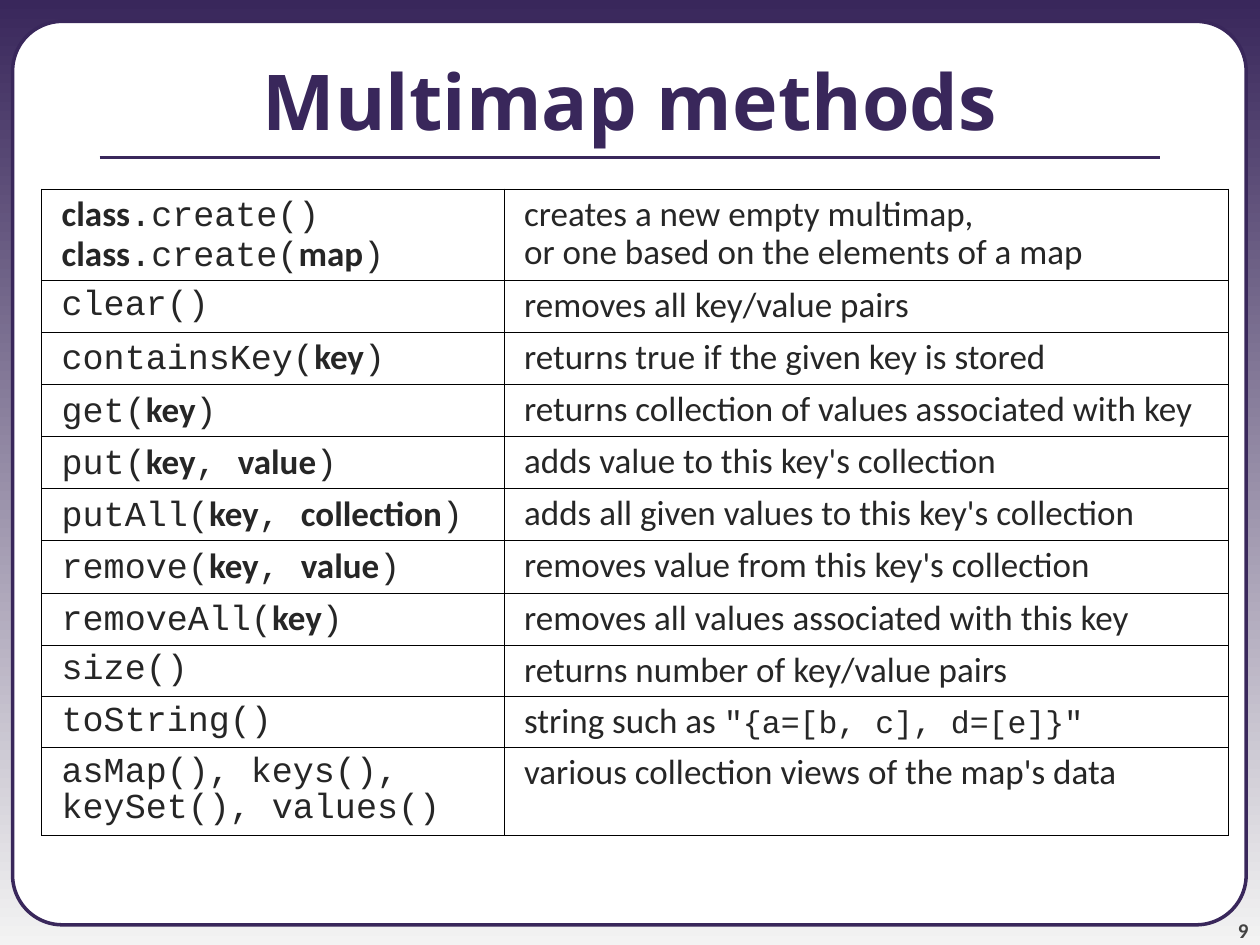
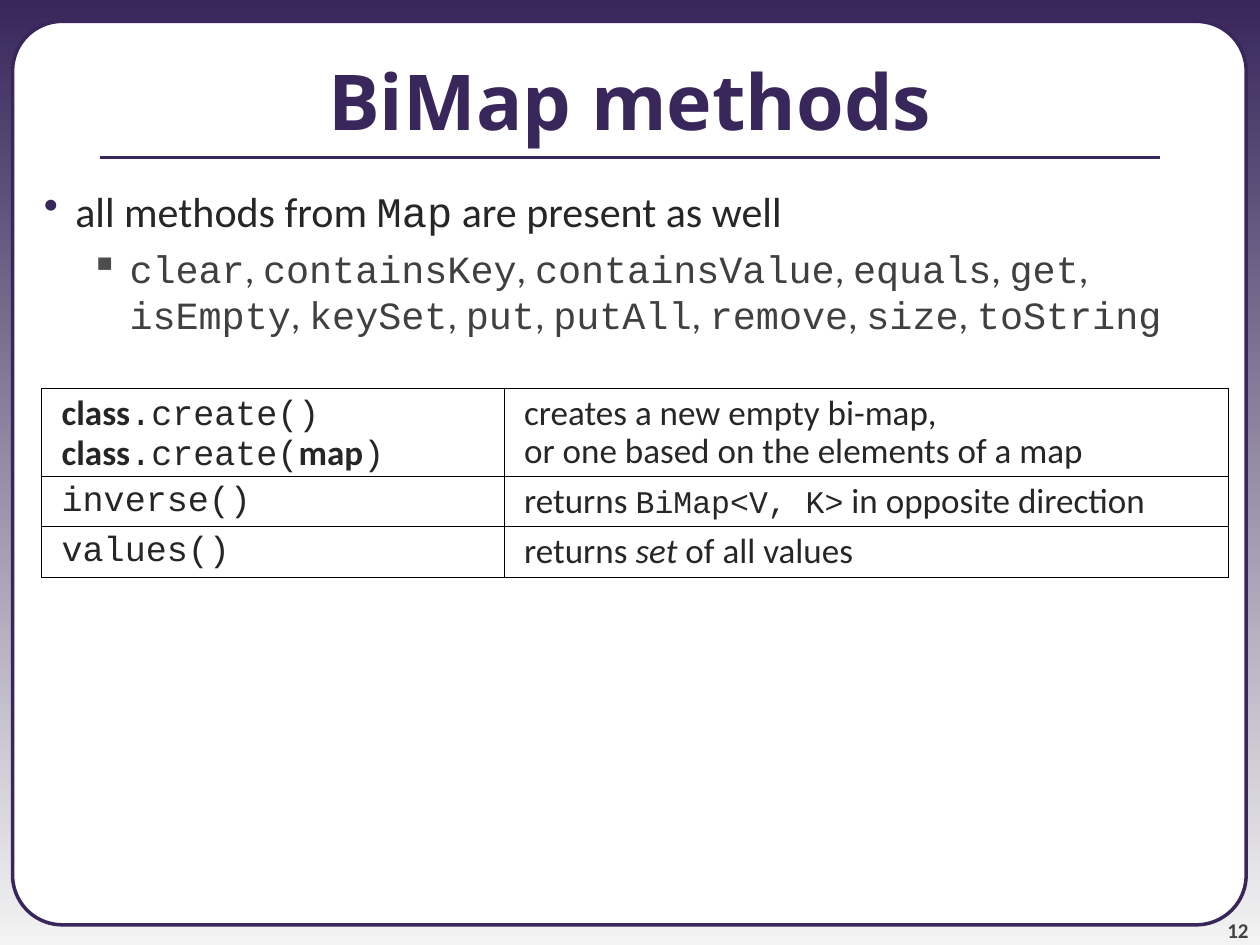
"""Build the Multimap and BiMap method reference slides."""
from dataclasses import dataclass

from lxml.etree import SubElement
from pptx import Presentation
from pptx.dml.color import RGBColor as RGB
from pptx.enum.shapes import MSO_CONNECTOR as CONNECTOR, MSO_SHAPE as SHAPE
from pptx.enum.text import MSO_ANCHOR as ANCHOR, MSO_AUTO_SIZE as AUTO_SIZE, PP_ALIGN as ALIGN
from pptx.oxml.ns import qn
from pptx.util import Inches, Pt


@dataclass(frozen=True)
class Theme:
    """Colours, fonts and type sizes of the deck."""
    purple: str = "39275B"
    mist: str = "F3F3F3"
    white: str = "FFFFFF"
    black: str = "000000"
    ink: str = "262626"
    sub_ink: str = "404040"
    sub_bullet: str = "4D4D4D"
    number_ink: str = "424242"
    heading_font: str = "Noto Sans"
    text_font: str = "Calibri"
    code_font: str = "Courier New"
    title_size: int = 44
    point_size: int = 24
    subpoint_size: int = 22
    cell_size: int = 20
    cell_code_size: int = 18
    number_size: int = 12


THEME = Theme()
CODE, BOLD, ITALIC = "`", "*", "_"

MAP_METHODS = ["clear", "containsKey", "containsValue", "equals", "get", "isEmpty",
               "keySet", "put", "putAll", "remove", "size", "toString"]
CREATE = "*class|`.create()\n|*class|`.create(|*map|`)"

SLIDES = [
    {
        "title": "Multimap methods",
        "number": "9",
        "table_top": 1.5,
        "methods": [
            (CREATE, "creates a new empty multimap,\nor one based on the elements of a map"),
            ("`clear()", "removes all key/value pairs"),
            ("`containsKey(|*key|`)", "returns true if the given key is stored"),
            ("`get(|*key|`)", "returns collection of values associated with key"),
            ("`put(|*key|`, |*value|`)", "adds value to this key's collection"),
            ("`putAll(|*key|`, |*collection|`)", "adds all given values to this key's collection"),
            ("`remove(|*key|`, |*value|`)", "removes value from this key's collection"),
            ("`removeAll(|*key|`)", "removes all values associated with this key"),
            ("`size()", "returns number of key/value pairs"),
            ("`toString()", 'string such as |`"{a=[b, c], d=[e]}"'),
            ("`asMap(), keys(), keySet(), values()", "various collection views of the map's data"),
        ],
    },
    {
        "title": "BiMap methods",
        "number": "12",
        "point": "all methods from |`Map| are present as well",
        "subpoint": "|, |".join(CODE + method for method in MAP_METHODS),
        "table_top": 3.08,
        "methods": [
            (CREATE, "creates a new empty bi-map,\nor one based on the elements of a map"),
            ("`inverse()", "returns |`BiMap<V, K>| in opposite direction"),
            ("`values()", "returns |_set| of all values"),
        ],
    },
]

TABLE_LEFT = 0.33
COLUMN_WIDTHS = (3.67, 5.75)
ROW_HEIGHT, TALL_ROW_HEIGHT = 0.4, 0.7
TALL_TEXT_LENGTH = 30


def write(paragraph, text, size, color, font=THEME.text_font, bold=False, code_size=None,
          align=None, spacing=None, before=None, indent=None, hanging=0,
          bullet=None, bullet_color=None):
    """Write text whose |-separated parts may start with a code, bold or italic mark."""
    properties = paragraph._p.get_or_add_pPr()
    if indent is not None:
        properties.set("marL", str(Inches(indent)))
        properties.set("indent", str(-Inches(hanging)))
    if align is not None:
        paragraph.alignment = align
    if spacing is not None:
        paragraph.line_spacing = spacing
    if before is not None:
        paragraph.space_before = Pt(before)
    if bullet:
        tint = SubElement(properties, qn("a:buClr"))
        SubElement(tint, qn("a:srgbClr"), val=bullet_color)
        SubElement(properties, qn("a:buChar"), char=bullet)
    for part in text.split("|"):
        mark = part[0] if part[0] in (CODE, BOLD, ITALIC) else ""
        is_code = mark == CODE
        for index, line in enumerate(part[len(mark):].split("\n")):
            if index:
                paragraph.add_line_break()
            if not line:
                continue
            run = paragraph.add_run()
            run.text = line
            run.font.name = THEME.code_font if is_code else font
            run.font.size = Pt(code_size if is_code and code_size else size)
            run.font.bold = bold or mark == BOLD
            run.font.italic = mark == ITALIC
            run.font.color.rgb = RGB.from_string(color)


def set_box(shape, left, top, width, height):
    """Place a shape by lengths in inches."""
    shape.left, shape.top = Inches(left), Inches(top)
    shape.width, shape.height = Inches(width), Inches(height)


def add_text_frame(slide, left, top, width, height):
    """Add a wrapping text box and return its frame."""
    box = slide.shapes.add_textbox(Inches(left), Inches(top), Inches(width), Inches(height))
    box.text_frame.word_wrap = True
    return box.text_frame


def add_frame(slide, number):
    """Draw the gradient, panel, page number and title rule."""
    background = slide.background.fill
    background.gradient()
    background.gradient_angle = 270
    for stop, color, position in zip(background.gradient_stops, (THEME.purple, THEME.mist), (0, 1)):
        stop.color.rgb = RGB.from_string(color)
        stop.position = position

    panel = slide.shapes.add_shape(SHAPE.ROUNDED_RECTANGLE, 0, 0, 0, 0)
    set_box(panel, 0.1, 0.17, 9.79, 7.17)
    panel.adjustments[0] = 0.055
    panel.shadow.inherit = False
    panel.fill.solid()
    panel.fill.fore_color.rgb = RGB.from_string(THEME.white)
    panel.line.color.rgb = RGB.from_string(THEME.purple)
    panel.line.width = Pt(2)

    page = add_text_frame(slide, 9.08, 7.08, 0.83, 0.4)
    page.margin_left = page.margin_right = page.margin_top = page.margin_bottom = 0
    page.vertical_anchor = ANCHOR.BOTTOM
    write(page.paragraphs[0], number, THEME.number_size, THEME.number_ink,
          bold=True, align=ALIGN.RIGHT)

    rule = slide.shapes.add_connector(CONNECTOR.STRAIGHT, Inches(0.79), Inches(1.25),
                                      Inches(9.21), Inches(1.25))
    rule.line.color.rgb = RGB.from_string(THEME.purple)
    rule.line.width = Pt(2.25)
    SubElement(rule.element.spPr, qn("a:effectLst"))


def add_title(slide, text):
    """Fill the title placeholder and bring it above the panel."""
    title = slide.shapes.title
    set_box(title, 0, 0.17, 10, 1.25)
    title.element.getparent().append(title.element)
    frame = title.text_frame
    frame.auto_size = AUTO_SIZE.NONE
    frame.vertical_anchor = ANCHOR.MIDDLE
    write(frame.paragraphs[0], text, THEME.title_size, THEME.purple,
          font=THEME.heading_font, bold=True, align=ALIGN.CENTER)


def add_points(slide, point, subpoint):
    """Add a bullet with one nested bullet."""
    body = add_text_frame(slide, 0, 1.42, 10, 6.08)
    write(body.paragraphs[0], point, THEME.point_size, THEME.ink, indent=0.5, hanging=0.25,
          bullet="•", bullet_color=THEME.purple)
    nested = body.add_paragraph()
    nested.level = 1
    write(nested, subpoint, THEME.subpoint_size, THEME.sub_ink, before=5.5, indent=0.93,
          hanging=0.31, bullet="▪", bullet_color=THEME.sub_bullet)


def add_borders(cell):
    """Draw a thin line on every side of a cell."""
    properties = cell._tc.get_or_add_tcPr()
    for side in ("L", "R", "T", "B"):
        border = SubElement(properties, qn(f"a:ln{side}"), w=str(Pt(0.45)))
        fill = SubElement(border, qn("a:solidFill"))
        SubElement(fill, qn("a:srgbClr"), val=THEME.black)


def add_methods(slide, methods, top):
    """Add the table of methods and what they do."""
    heights = [TALL_ROW_HEIGHT if "\n" in does or len(call) > TALL_TEXT_LENGTH and "|" not in call
               else ROW_HEIGHT for call, does in methods]
    table = slide.shapes.add_table(len(methods), len(COLUMN_WIDTHS), Inches(TABLE_LEFT), Inches(top),
                                   Inches(sum(COLUMN_WIDTHS)), Inches(sum(heights))).table
    table.first_row = table.horz_banding = False
    for column, width in zip(table.columns, COLUMN_WIDTHS):
        column.width = Inches(width)
    for row, height, texts in zip(table.rows, heights, methods):
        row.height = Inches(height)
        for cell, text, code_size in zip(row.cells, texts, (THEME.cell_size, THEME.cell_code_size)):
            add_borders(cell)
            cell.fill.background()
            write(cell.text_frame.paragraphs[0], text, THEME.cell_size, THEME.ink,
                  code_size=code_size, spacing=0.9, indent=0.06)


def main():
    """Build and save the deck."""
    deck = Presentation()
    deck.slide_width, deck.slide_height = Inches(10), Inches(7.5)
    title_only = deck.slide_layouts[5]
    for content in SLIDES:
        slide = deck.slides.add_slide(title_only)
        add_frame(slide, content["number"])
        add_title(slide, content["title"])
        if "point" in content:
            add_points(slide, content["point"], content["subpoint"])
        add_methods(slide, content["methods"], content["table_top"])
    deck.save("out.pptx")


if __name__ == "__main__":
    main()
